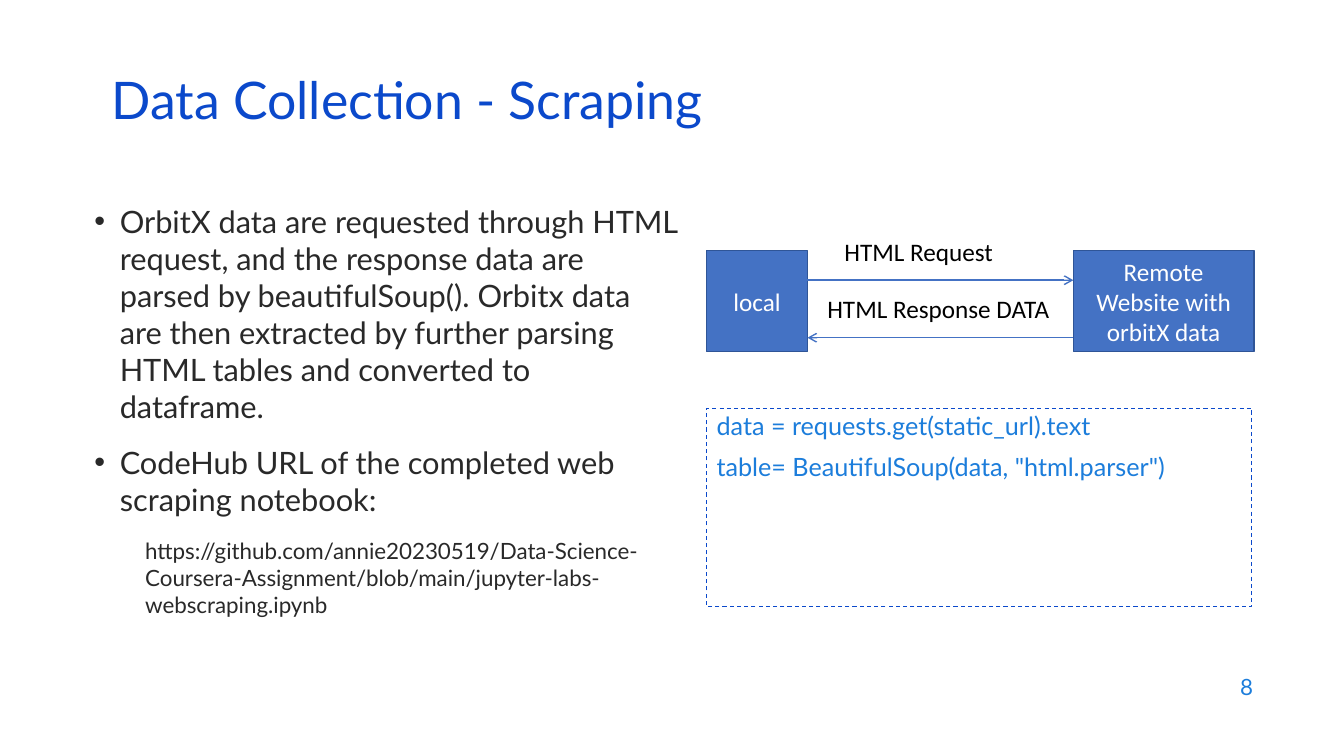
from dataclasses import dataclass

from lxml.etree import SubElement
from pptx import Presentation
from pptx.dml.color import RGBColor
from pptx.enum.dml import MSO_LINE
from pptx.enum.shapes import MSO_CONNECTOR, MSO_SHAPE
from pptx.enum.text import MSO_ANCHOR, PP_ALIGN
from pptx.oxml.ns import qn
from pptx.util import Cm, Pt


@dataclass(frozen=True)
class Theme:
    heading_font: str = "Lato"
    diagram_font: str = "Calibri"
    title: str = "0B49CB"
    accent: str = "1C7DDB"
    body: str = "292929"
    label: str = "000000"
    node_text: str = "FFFFFF"
    node_fill: str = "4472C4"
    node_line: str = "2F5597"
    title_size: int = 37
    body_size: int = 22
    label_size: int = 18
    small_size: int = 16


class SlideBuilder:
    def __init__(self, page, theme):
        self.page = page
        self.theme = theme

    def set_text(self, frame, lines, font, size, color, align=PP_ALIGN.LEFT,
                 anchor=MSO_ANCHOR.TOP, line_spacing=None, gap=0):
        """Fill a text frame with equally styled paragraphs."""
        frame.word_wrap = True
        frame.vertical_anchor = anchor
        for index, line in enumerate(lines):
            para = frame.add_paragraph() if index else frame.paragraphs[0]
            para.text = line
            para.alignment = align
            if line_spacing:
                para.line_spacing = line_spacing
            if index and gap:
                para.space_before = Pt(gap)
            para.font.name = font
            para.font.size = Pt(size)
            para.font.color.rgb = RGBColor.from_string(color)

    def text(self, place, line, font, size, color, **layout):
        box = self.page.shapes.add_textbox(*map(Cm, place))
        self.set_text(box.text_frame, [line], font, size, color, **layout)

    def bullets(self, place, items):
        """Items are (text, level); level 0 has a bullet, level 1 is plain and smaller."""
        theme = self.theme
        frame = self.page.shapes.add_textbox(*map(Cm, place)).text_frame
        frame.word_wrap = True
        for index, (line, level) in enumerate(items):
            para = frame.add_paragraph() if index else frame.paragraphs[0]
            para.text = line
            para.level = level
            if index:
                para.space_before = Pt(14)
            indent = Cm(0.64)
            properties = para._p.get_or_add_pPr()
            properties.set("marL", str(indent * (level + 1)))
            properties.set("indent", str(0 if level else -indent))
            if level:
                SubElement(properties, qn("a:buNone"))
            else:
                SubElement(properties, qn("a:buFont"), typeface="Arial")
                SubElement(properties, qn("a:buChar"), char="•")
            para.font.name = theme.heading_font
            para.font.size = Pt(theme.small_size if level else theme.body_size)
            para.font.color.rgb = RGBColor.from_string(theme.body)

    def rectangle(self, place, line_color, line_width):
        shape = self.page.shapes.add_shape(MSO_SHAPE.RECTANGLE, *map(Cm, place))
        shape.shadow.inherit = False
        shape.line.color.rgb = RGBColor.from_string(line_color)
        shape.line.width = Pt(line_width)
        return shape

    def node(self, place, label):
        theme = self.theme
        shape = self.rectangle(place, theme.node_line, 1)
        shape.fill.solid()
        shape.fill.fore_color.rgb = RGBColor.from_string(theme.node_fill)
        self.set_text(shape.text_frame, [label], theme.diagram_font, theme.label_size,
                      theme.node_text, align=PP_ALIGN.CENTER, anchor=MSO_ANCHOR.MIDDLE)

    def code(self, place, lines):
        theme = self.theme
        shape = self.rectangle(place, theme.title, 0.75)
        shape.fill.background()
        shape.line.dash_style = MSO_LINE.DASH
        self.set_text(shape.text_frame, lines, theme.heading_font, theme.label_size,
                      theme.accent, line_spacing=0.9, gap=10)

    def arrow(self, start, end, y):
        connector = self.page.shapes.add_connector(
            MSO_CONNECTOR.STRAIGHT, Cm(start), Cm(y), Cm(end), Cm(y))
        connector.line.color.rgb = RGBColor.from_string(self.theme.node_fill)
        connector.line.width = Pt(1)
        properties = connector._element.spPr
        SubElement(properties.get_or_add_ln(), qn("a:tailEnd"), type="arrow")
        SubElement(properties, qn("a:effectLst"))


def main():
    deck = Presentation()
    deck.slide_width, deck.slide_height = Cm(33.87), Cm(19.05)
    theme = Theme()
    builder = SlideBuilder(deck.slides.add_slide(deck.slide_layouts[6]), theme)

    # Title and page number
    builder.text((2.57, 1.93, 29.21, 1.52), "Data Collection - Scraping",
                 theme.heading_font, theme.title_size, theme.title,
                 anchor=MSO_ANCHOR.MIDDLE, line_spacing=0.7)
    builder.text((24.21, 16.74, 7.62, 1.12), "8",
                 theme.heading_font, theme.small_size, theme.accent,
                 align=PP_ALIGN.RIGHT, anchor=MSO_ANCHOR.MIDDLE)

    # Explanation
    builder.bullets((2.13, 4.98, 15.21, 10.59), [
        ("OrbitX data are requested through HTML request, and the response data are "
         "parsed by beautifulSoup(). Orbitx data are then extracted by further parsing "
         "HTML tables and converted to dataframe.", 0),
        ("CodeHub URL of the completed web scraping notebook:", 0),
        ("https://github.com/annie20230519/Data-Science-Coursera-Assignment/blob/main/"
         "jupyter-labs-webscraping.ipynb", 1),
    ])

    # Request and response diagram
    left, top, side = 17.81, 6.32, 2.54
    local_edge, remote_edge = left + side, 27.05
    builder.node((left, top, side, side), "local")
    builder.node((remote_edge, top, 4.55, side), "Remote Website with orbitX data")
    builder.arrow(local_edge, remote_edge, 7.06)
    builder.arrow(remote_edge, local_edge, 8.51)
    for place, label in (
        ((21.03, 5.82, 4.83, 1.02), "HTML Request"),
        ((20.6, 7.26, 6.2, 1.02), "HTML Response DATA"),
    ):
        builder.text(place, label, theme.diagram_font, theme.label_size, theme.label)

    # Code
    builder.code((left, 10.29, 13.74, 5), [
        "data = requests.get(static_url).text",
        'table= BeautifulSoup(data, "html.parser")',
    ])

    deck.save("out.pptx")


if __name__ == "__main__":
    main()
